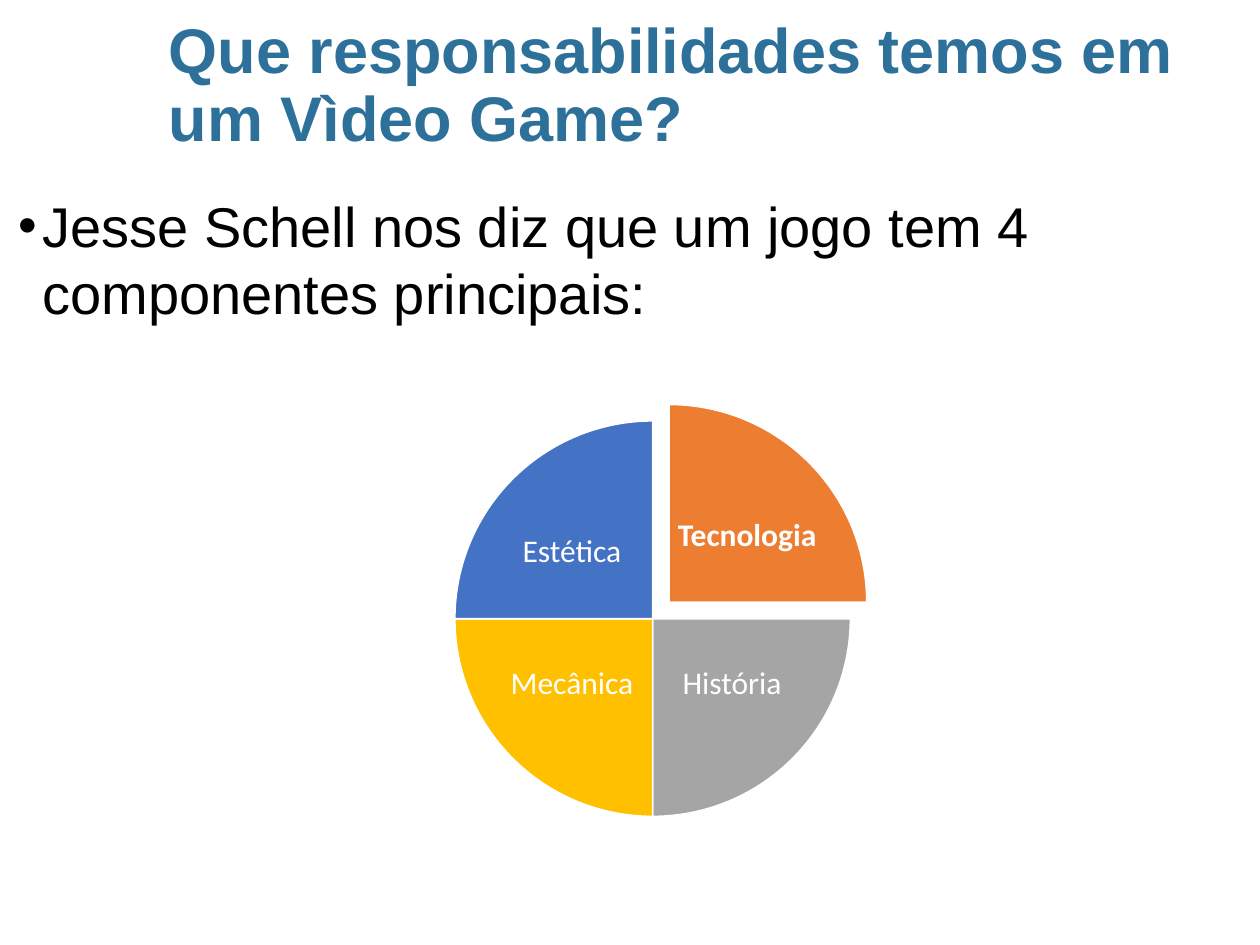
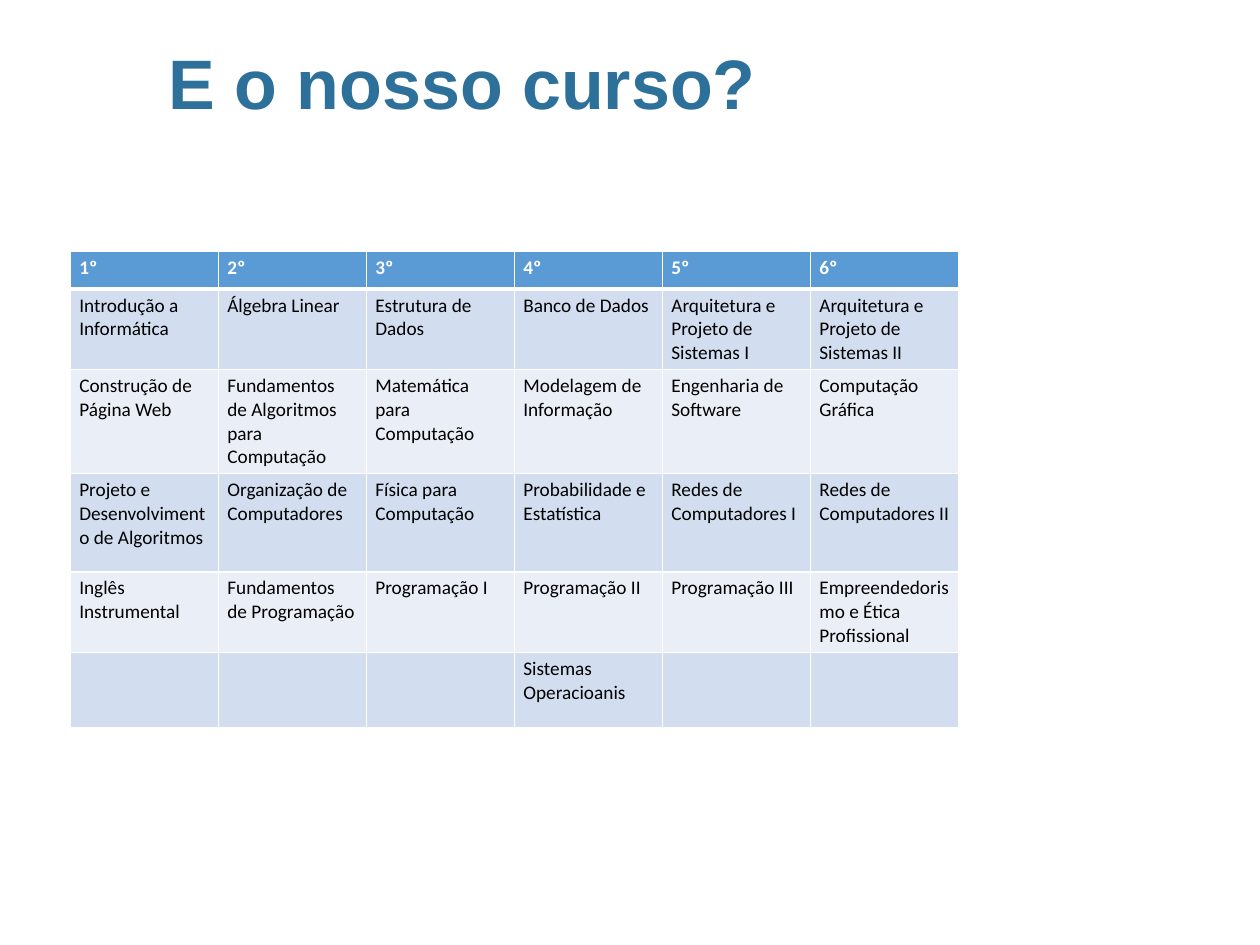
from pptx import Presentation
from pptx.dml.color import RGBColor
from pptx.enum.shapes import MSO_SHAPE
from pptx.enum.text import MSO_ANCHOR, PP_ALIGN
from pptx.oxml import parse_xml
from pptx.oxml.ns import nsdecls
from pptx.util import Pt

COLOURS = {
    "title": "2D719A", "text": "000000", "white": "FFFFFF",
    "technology": "ED7D31", "story": "A5A5A5",
    "mechanics": "FFC000", "aesthetics": "4472C4",
    "header": "5B9BD5", "odd_row": "D2DEEF", "even_row": "EAEFF7",
}
TITLE_BOX = (89.3, 5.8, 621.4, 87.8)

COMPONENTS = [
    ("Tecnologia", "technology", 162, 0, (269.3, 231.1), (385.2, 272.9), True),
    ("História", "story", 0, 54, (259.9, 240.5), (376.6, 357.8), False),
    ("Mecânica", "mechanics", 54, 108, (259.9, 240.5), (285.1, 357.8), False),
    ("Estética", "aesthetics", 108, 162, (259.9, 240.5), (285.1, 282.2), False),
]

COURSES = [
    ["1º", "2º", "3º", "4º", "5º", "6º"],
    ["Introdução a Informática", "Álgebra Linear", "Estrutura de Dados",
     "Banco de Dados", "Arquitetura e Projeto de Sistemas I",
     "Arquitetura e Projeto de Sistemas II"],
    ["Construção de Página Web", "Fundamentos de Algoritmos para Computação",
     "Matemática para Computação", "Modelagem de Informação",
     "Engenharia de Software", "Computação Gráfica"],
    ["Projeto e Desenvolvimento de Algoritmos", "Organização de Computadores",
     "Física para Computação", "Probabilidade e Estatística",
     "Redes de Computadores I", "Redes de Computadores II"],
    ["Inglês Instrumental", "Fundamentos de Programação", "Programação I",
     "Programação II", "Programação III",
     "Empreendedorismo e Ética Profissional"],
    ["", "", "", "Sistemas Operacioanis", "", ""],
]
ROW_HEIGHTS = [21.6, 43.2, 56.2, 56.2, 43.2, 43.2]


class Deck:
    """Holds the shared style and the current slide, and draws its elements."""

    def __init__(self):
        self.presentation = Presentation()
        self.presentation.slide_width = Pt(720)
        self.presentation.slide_height = Pt(540)
        self.slide = None

    def colour(self, key):
        return RGBColor.from_string(COLOURS[key])

    def apply(self, target, formats):
        for attribute, value in formats.items():
            setattr(target, attribute, value)

    def add_text(self, paragraph, text, size, colour, font="Calibri", bold=False):
        run = paragraph.add_run()
        run.text = text
        self.apply(run.font, {"name": font, "size": Pt(size), "bold": bold})
        run.font.color.rgb = self.colour(colour)

    def add_slide(self, title, size):
        layout = self.presentation.slide_layouts[5]
        self.slide = self.presentation.slides.add_slide(layout)
        heading = self.slide.shapes.title
        left, top, width, height = map(Pt, TITLE_BOX)
        self.apply(heading, {"left": left, "top": top, "width": width, "height": height})
        self.apply(heading.text_frame, {"vertical_anchor": MSO_ANCHOR.MIDDLE, "word_wrap": True})
        paragraph = heading.text_frame.paragraphs[0]
        self.apply(paragraph, {"alignment": PP_ALIGN.LEFT, "line_spacing": 0.9})
        self.add_text(paragraph, title, size, "title", "Arial", True)

    def add_text_box(self, left, top, width, height):
        frame = self.slide.shapes.add_textbox(*map(Pt, (left, top, width, height))).text_frame
        frame.word_wrap = True
        return frame

    def add_bullet(self, text, box):
        paragraph = self.add_text_box(*box).paragraphs[0]
        properties = paragraph._p.get_or_add_pPr()
        properties.set("marL", str(Pt(13.5)))
        properties.set("indent", str(-Pt(13.5)))
        for element in ('buSzPct %s val="95000"', 'buFont %s typeface="Arial"', 'buChar %s char="•"'):
            properties.append(parse_xml(f"<a:{element % nsdecls('a')}/>"))
        self.add_text(paragraph, text, 32, "text", "Arial")

    def add_slice(self, name, colour, start, end, corner, label_corner, bold):
        diameter = 226.1
        sector = self.slide.shapes.add_shape(
            MSO_SHAPE.PIE, *map(Pt, (*corner, diameter, diameter)))
        sector.adjustments[0], sector.adjustments[1] = start, end
        sector.shadow.inherit = False
        sector.fill.solid()
        sector.fill.fore_color.rgb = self.colour(colour)
        sector.line.color.rgb = self.colour("white")
        sector.line.width = Pt(1)
        label = self.add_text_box(*label_corner, 83.5, 67)
        inset = Pt(2)
        self.apply(label, {"vertical_anchor": MSO_ANCHOR.MIDDLE, "margin_left": inset,
                           "margin_right": inset, "margin_top": inset, "margin_bottom": inset})
        paragraph = label.paragraphs[0]
        self.apply(paragraph, {"alignment": PP_ALIGN.CENTER, "line_spacing": 0.9})
        self.add_text(paragraph, name, 18, "white", bold=bold)

    def add_borders(self, cell, widths):
        properties = cell._tc.get_or_add_tcPr()
        for position, (side, width) in enumerate(widths.items()):
            properties.insert(position, parse_xml(
                f'<a:{side} {nsdecls("a")} w="{Pt(width)}"><a:solidFill>'
                f'<a:srgbClr val="{COLOURS["white"]}"/></a:solidFill></a:{side}>'))

    def add_table(self, rows, heights, left, top, column_width):
        columns = len(rows[0])
        table = self.slide.shapes.add_table(
            len(rows), columns, Pt(left), Pt(top),
            Pt(column_width * columns), Pt(sum(heights))).table
        for column in table.columns:
            column.width = Pt(column_width)
        for index, (texts, height) in enumerate(zip(rows, heights)):
            table.rows[index].height = Pt(height)
            is_header = index == 0
            fill = "header" if is_header else ("even_row", "odd_row")[index % 2]
            widths = {"lnL": 1, "lnR": 1, "lnT": 3 if index == 1 else 1,
                      "lnB": 3 if is_header else 1}
            for cell, text in zip(table.rows[index].cells, texts):
                self.apply(cell, {"margin_left": Pt(5), "margin_right": Pt(5),
                                  "margin_top": Pt(2.6), "margin_bottom": Pt(2.6)})
                cell.fill.solid()
                cell.fill.fore_color.rgb = self.colour(fill)
                self.add_borders(cell, widths)
                if text:
                    self.add_text(cell.text_frame.paragraphs[0], text, 11,
                                  "white" if is_header else "text", bold=is_header)


def main():
    deck = Deck()
    deck.add_slide("Que responsabilidades temos em um Vìdeo Game?", 36)
    deck.add_bullet("Jesse Schell nos diz que um jogo tem 4 componentes principais:",
                    (3.6, 105.8, 707, 362.9))
    for component in COMPONENTS:
        deck.add_slice(*component)

    deck.add_slide("E o nosso curso?", 40)
    deck.add_table(COURSES, ROW_HEIGHTS, 40.3, 143.6, 84.6)
    deck.presentation.save("out.pptx")


if __name__ == "__main__":
    main()
